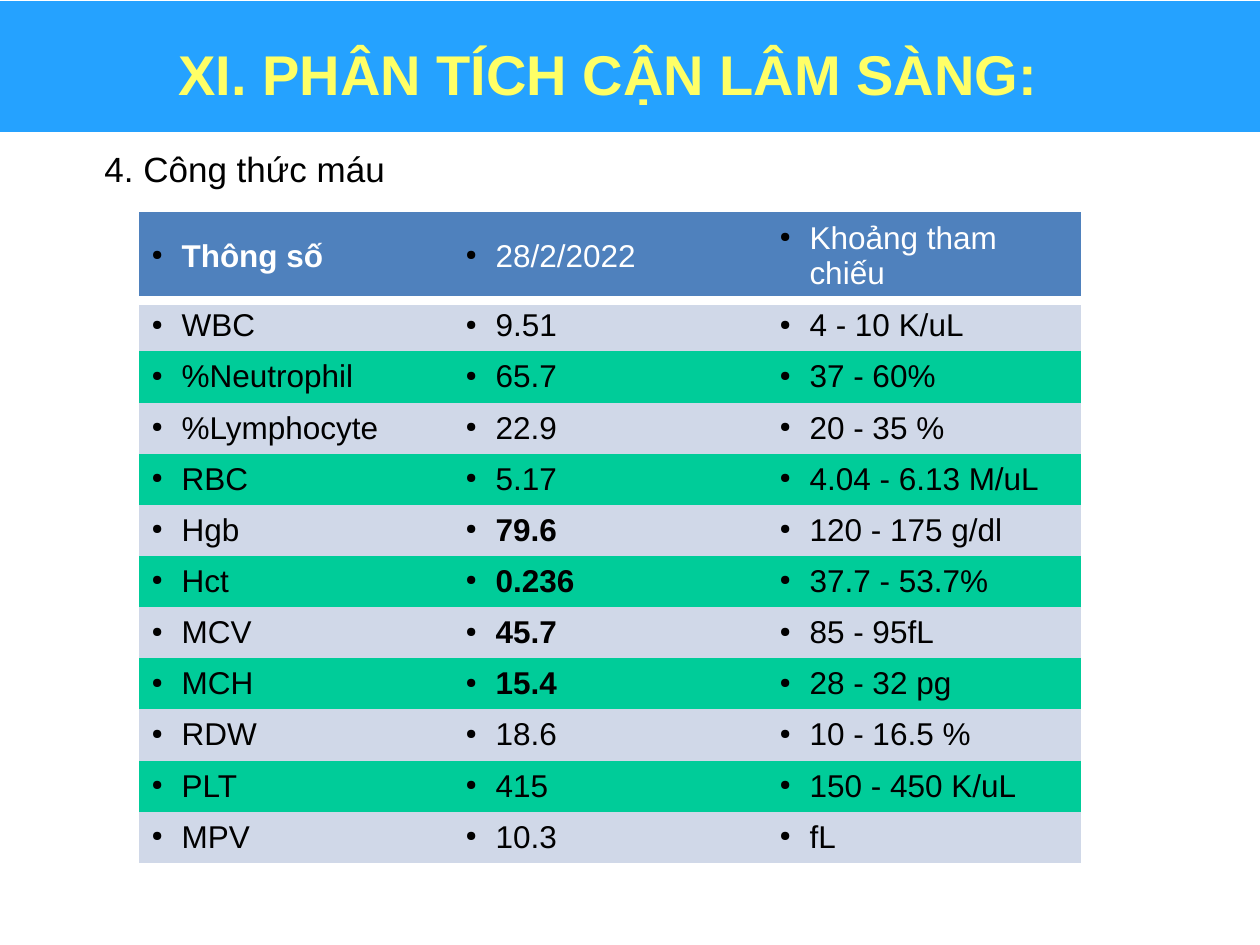
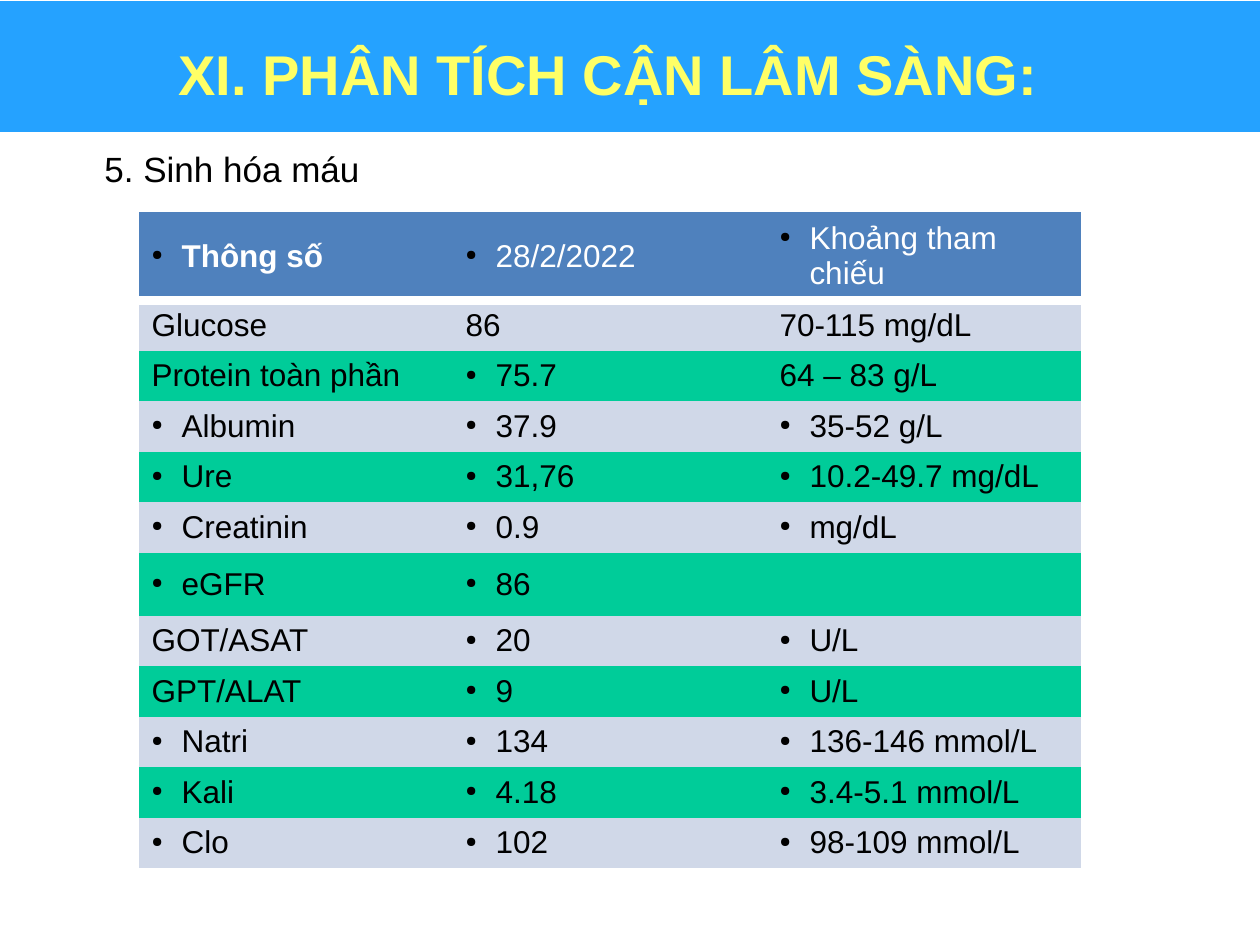
from collections import namedtuple

from lxml.etree import SubElement
from pptx import Presentation
from pptx.dml.color import RGBColor
from pptx.enum.shapes import MSO_SHAPE
from pptx.enum.text import MSO_ANCHOR, PP_ALIGN
from pptx.oxml.ns import qn
from pptx.util import Pt

EMU_PER_PX = 914400 / 126
NO_TABLE_STYLE = "{2D5ABB26-0587-4C30-8999-92F81FD0307C}"
WHITE, BLACK = "FFFFFF", "000000"
SKY, YELLOW = "25A2FF", "FFFF66"
HEADER_BLUE, STRIPES = "4F81BD", ("D0D8E8", "00CC99")

Entry = namedtuple("Entry", "text bold bullet", defaults=(False, True))


def px(length):
    """Turn pixels into EMU."""
    return round(length * EMU_PER_PX)


def colour(code):
    """Turn a hex string into a colour."""
    return RGBColor.from_string(code)


def strong(text):
    """Return a bold bulleted entry."""
    return Entry(text, bold=True)


def plain(text):
    """Return an entry without a bullet."""
    return Entry(text, bullet=False)


class Report:
    """Hold the deck, its style and the current page."""

    font_name = "Arial"
    table_left, table_top, column_width = 139, 212, 314
    header_height = 88

    def __init__(self):
        """Start an empty deck."""
        self.deck = Presentation()
        self.deck.slide_width, self.deck.slide_height = px(1260), px(945)
        self.page = None

    def add_page(self, title, subtitle):
        """Add a page with its band, title and subtitle."""
        self.page = self.deck.slides.add_slide(self.deck.slide_layouts[6])
        self.band(-9, 0, 1272, 133)
        self.text(title, 73, 21, 1071, 105, 32, YELLOW, True, PP_ALIGN.CENTER, MSO_ANCHOR.MIDDLE)
        self.text(subtitle, 92, 141, 367, 55, 20)

    def band(self, left, top, width, height):
        """Draw the coloured band behind the title."""
        box = self.page.shapes.add_shape(
            MSO_SHAPE.RECTANGLE, px(left), px(top), px(width), px(height))
        box.shadow.inherit = False
        box.fill.solid()
        box.fill.fore_color.rgb = colour(SKY)
        box.line.color.rgb = colour(WHITE)
        box.line.width = Pt(0.75)

    def text(self, words, left, top, width, height, size, code=BLACK, bold=False,
             align=PP_ALIGN.LEFT, anchor=MSO_ANCHOR.TOP):
        """Write one line of text in a box."""
        box = self.page.shapes.add_textbox(px(left), px(top), px(width), px(height))
        frame = box.text_frame
        frame.word_wrap = True
        frame.vertical_anchor = anchor
        para = frame.paragraphs[0]
        para.text = words
        para.alignment = align
        self.style(para, size, code, bold)

    def style(self, para, size, code, bold):
        """Set the font of a paragraph."""
        font = para.font
        font.name, font.size, font.bold = self.font_name, Pt(size), bold
        font.color.rgb = colour(code)

    def bullet(self, para):
        """Give a paragraph a small black bullet and a hanging indent."""
        properties = para._p.get_or_add_pPr()
        properties.set("marL", str(px(30)))
        properties.set("indent", str(px(-30)))
        tint = SubElement(properties, qn("a:buClr"))
        SubElement(tint, qn("a:srgbClr"), val=BLACK)
        SubElement(properties, qn("a:buSzPct"), val="45000")
        SubElement(properties, qn("a:buChar"), char="●")

    def rule_below(self, cell):
        """Draw a thick white line under a cell."""
        properties = cell._tc.get_or_add_tcPr()
        line = properties.makeelement(qn("a:lnB"), {"w": str(Pt(6))})
        properties.insert(0, line)
        fill = SubElement(line, qn("a:solidFill"))
        SubElement(fill, qn("a:srgbClr"), val=WHITE)

    def cell(self, cell, entry, fill, code):
        """Fill one table cell."""
        cell.fill.solid()
        cell.fill.fore_color.rgb = colour(fill)
        cell.vertical_anchor = MSO_ANCHOR.MIDDLE
        if not isinstance(entry, Entry):
            entry = Entry(entry)
        if entry.text:
            para = cell.text_frame.paragraphs[0]
            para.text = entry.text
            if entry.bullet:
                self.bullet(para)
            self.style(para, 18, code, entry.bold)

    def table(self, header, results, height, tall_rows=None):
        """Draw a striped table, sharing the height left by the tall rows."""
        tall_rows = {0: self.header_height, **(tall_rows or {})}
        rows = [header, *results]
        shared = (height - sum(tall_rows.values())) / (len(rows) - len(tall_rows))
        grid = self.page.shapes.add_table(
            len(rows), len(header), px(self.table_left), px(self.table_top),
            px(self.column_width * len(header)), px(height)).table
        grid.first_row = grid.horz_banding = False
        grid._tbl.tblPr.find(qn("a:tableStyleId")).text = NO_TABLE_STYLE
        for column in grid.columns:
            column.width = px(self.column_width)
        for number, entries in enumerate(rows):
            grid.rows[number].height = px(tall_rows.get(number, shared))
            fill, code = (STRIPES[(number - 1) % 2], BLACK) if number else (HEADER_BLUE, WHITE)
            for position, entry in enumerate(entries):
                cell = grid.cell(number, position)
                self.cell(cell, entry, fill, code)
                if number == 0:
                    self.rule_below(cell)


TITLE = "XI. PHÂN TÍCH CẬN LÂM SÀNG:"
HEADER = (strong("Thông số"), "28/2/2022", "Khoảng tham chiếu")
BLOOD_COUNT = [
    ("WBC", "9.51", "4 - 10 K/uL"),
    ("%Neutrophil", "65.7", "37 - 60%"),
    ("%Lymphocyte", "22.9", "20 - 35 %"),
    ("RBC", "5.17", "4.04 - 6.13 M/uL"),
    ("Hgb", strong("79.6"), "120 - 175 g/dl"),
    ("Hct", strong("0.236"), "37.7 - 53.7%"),
    ("MCV", strong("45.7"), "85 - 95fL"),
    ("MCH", strong("15.4"), "28 - 32 pg"),
    ("RDW", "18.6", "10 - 16.5 %"),
    ("PLT", "415", "150 - 450 K/uL"),
    ("MPV", "10.3", "fL"),
]
BIOCHEMISTRY = [
    (plain("Glucose"), plain("86"), plain("70-115 mg/dL")),
    (plain("Protein toàn phần"), "75.7", plain("64 – 83 g/L")),
    ("Albumin", "37.9", "35-52 g/L"),
    ("Ure", "31,76", "10.2-49.7 mg/dL"),
    ("Creatinin", "0.9", "mg/dL"),
    ("eGFR", "86", ""),
    (plain("GOT/ASAT"), "20", "U/L"),
    (plain("GPT/ALAT"), "9", "U/L"),
    ("Natri", "134", "136-146 mmol/L"),
    ("Kali", "4.18", "3.4-5.1 mmol/L"),
    ("Clo", "102", "98-109 mmol/L"),
]


def main():
    """Build and save the deck."""
    report = Report()
    report.add_page(TITLE, "4. Công thức máu")
    report.table(HEADER, BLOOD_COUNT, 651)
    report.add_page(TITLE, "5. Sinh hóa máu")
    report.table(HEADER, BIOCHEMISTRY, 656, tall_rows={6: 63})
    report.deck.save("out.pptx")


if __name__ == "__main__":
    main()
